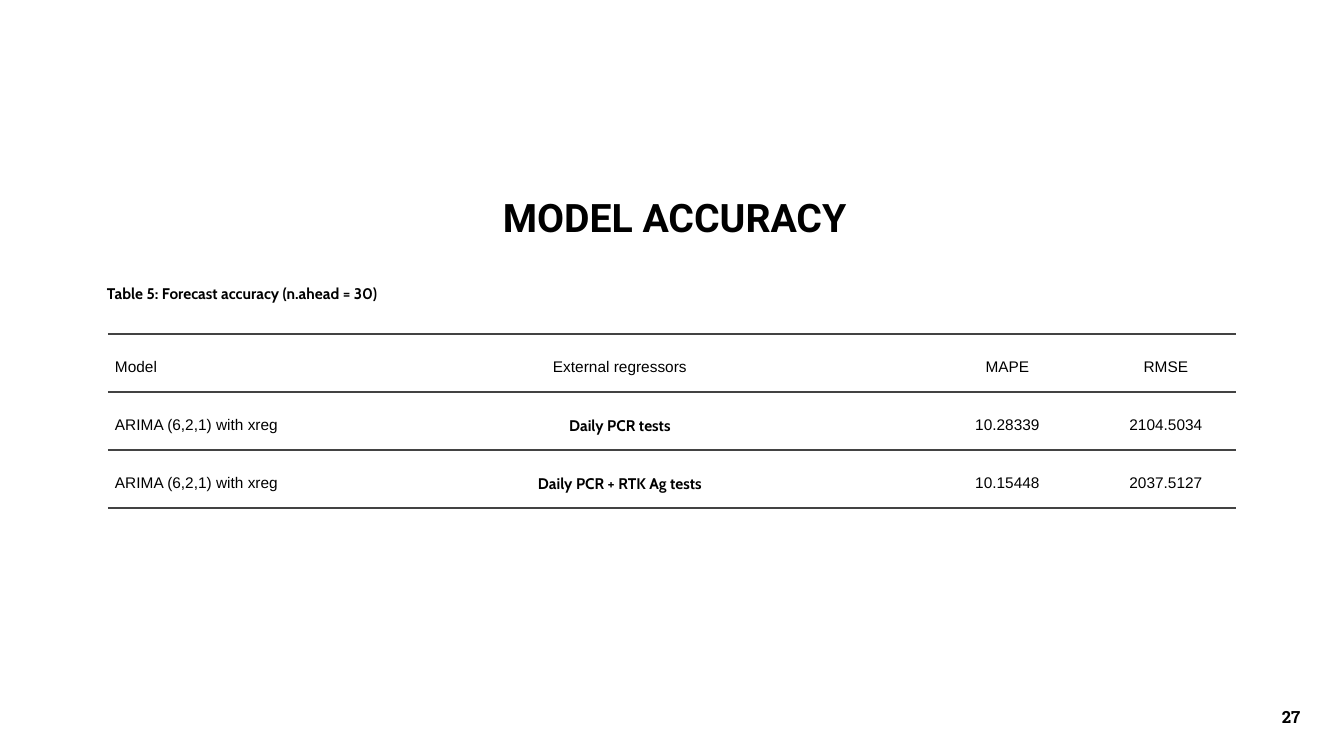
from lxml import etree
from pptx import Presentation
from pptx.dml.color import RGBColor
from pptx.enum.text import MSO_ANCHOR as Anchor, MSO_AUTO_SIZE as AutoSize, PP_ALIGN as Align
from pptx.oxml.ns import qn
from pptx.util import Emu, Pt

BLACK = RGBColor(0x00, 0x00, 0x00)
RULE_GREY = RGBColor(0x43, 0x43, 0x43)
NO_GRID_STYLE = "{2D5ABB26-0587-4C30-8999-92F81FD0307C}"

COLUMN_WIDTHS = (213, 598, 177, 140)
ROW_HEIGHT = 58
ACCURACY = (
    ("Model", "External regressors", "MAPE", "RMSE"),
    ("ARIMA (6,2,1) with xreg", "Daily PCR tests", "10.28339", "2104.5034"),
    ("ARIMA (6,2,1) with xreg", "Daily PCR + RTK Ag tests", "10.15448", "2037.5127"),
)


def px(length):
    return Emu(round(length * 914400 / 100.8))


def write(frame, text, font, size, bold=False, align=Align.LEFT, spaced=False):
    paragraph = frame.paragraphs[0]
    paragraph.alignment = align
    if spaced:
        paragraph.line_spacing = 1.5
        paragraph.space_after = Pt(8)
    run = paragraph.add_run()
    run.text = text
    run.font.name = font
    run.font.size = Pt(size)
    run.font.bold = bold
    run.font.color.rgb = BLACK


def add_text(slide, box, text, font, size, inset=(10, 5), anchor=Anchor.TOP,
             grow=False, **style):
    frame = slide.shapes.add_textbox(*map(px, box)).text_frame
    frame.word_wrap = True
    frame.auto_size = AutoSize.SHAPE_TO_FIT_TEXT if grow else AutoSize.NONE
    frame.vertical_anchor = anchor
    frame.margin_left = frame.margin_right = px(inset[0])
    frame.margin_top = frame.margin_bottom = px(inset[1])
    write(frame, text, font, size, bold=True, **style)


def add_rule(cell, side):
    # Border lines come before the fill in the cell properties
    line = etree.Element(qn(f"a:{side}"), w=str(Pt(1)))
    fill = etree.SubElement(line, qn("a:solidFill"))
    etree.SubElement(fill, qn("a:srgbClr"), val=str(RULE_GREY))
    cell._tc.get_or_add_tcPr().insert(0, line)


def fill_cell(cell, text, row, column):
    cell.fill.background()
    cell.vertical_anchor = Anchor.MIDDLE
    cell.margin_left = cell.margin_right = px(7)
    cell.margin_top = cell.margin_bottom = 0
    is_regressor = row > 0 and column == 1
    write(cell.text_frame, text, "Cabin" if is_regressor else "Arial", 11,
          bold=is_regressor, align=Align.CENTER if column else Align.LEFT, spaced=True)
    # Rules above and below the header, and under the last row
    add_rule(cell, "lnT") if row < 2 else add_rule(cell, "lnB")


def add_accuracy_table(slide, left, top):
    row_count = len(ACCURACY)
    frame = slide.shapes.add_table(
        row_count, len(COLUMN_WIDTHS), px(left), px(top),
        px(sum(COLUMN_WIDTHS)), px(row_count * ROW_HEIGHT))
    table = frame.table
    table.first_row = table.horz_banding = False
    table._tbl.tblPr.find(qn("a:tableStyleId")).text = NO_GRID_STYLE
    for column, width in zip(table.columns, COLUMN_WIDTHS):
        column.width = px(width)
    for row, values in enumerate(ACCURACY):
        table.rows[row].height = px(ROW_HEIGHT)
        for column, text in enumerate(values):
            fill_cell(table.cell(row, column), text, row, column)


def main():
    deck = Presentation()
    deck.slide_width, deck.slide_height = px(1344), px(756)
    slide = deck.slides.add_slide(deck.slide_layouts[6])

    # Page number
    add_text(slide, (1271, 702, 40, 30), "27", "Roboto Slab", 12,
             inset=(5, 5), grow=True, align=Align.CENTER)

    # Heading
    add_text(slide, (207, 192, 935, 49), "MODEL ACCURACY", "Roboto", 28,
             inset=(10, 10), anchor=Anchor.MIDDLE, align=Align.CENTER)

    # Caption and forecast accuracy table
    add_text(slide, (97, 270, 989, 34), "Table 5: Forecast accuracy (n.ahead = 30)",
             "Cabin", 11, grow=True, spaced=True)
    add_accuracy_table(slide, 108, 334)

    deck.save("out.pptx")


if __name__ == "__main__":
    main()
